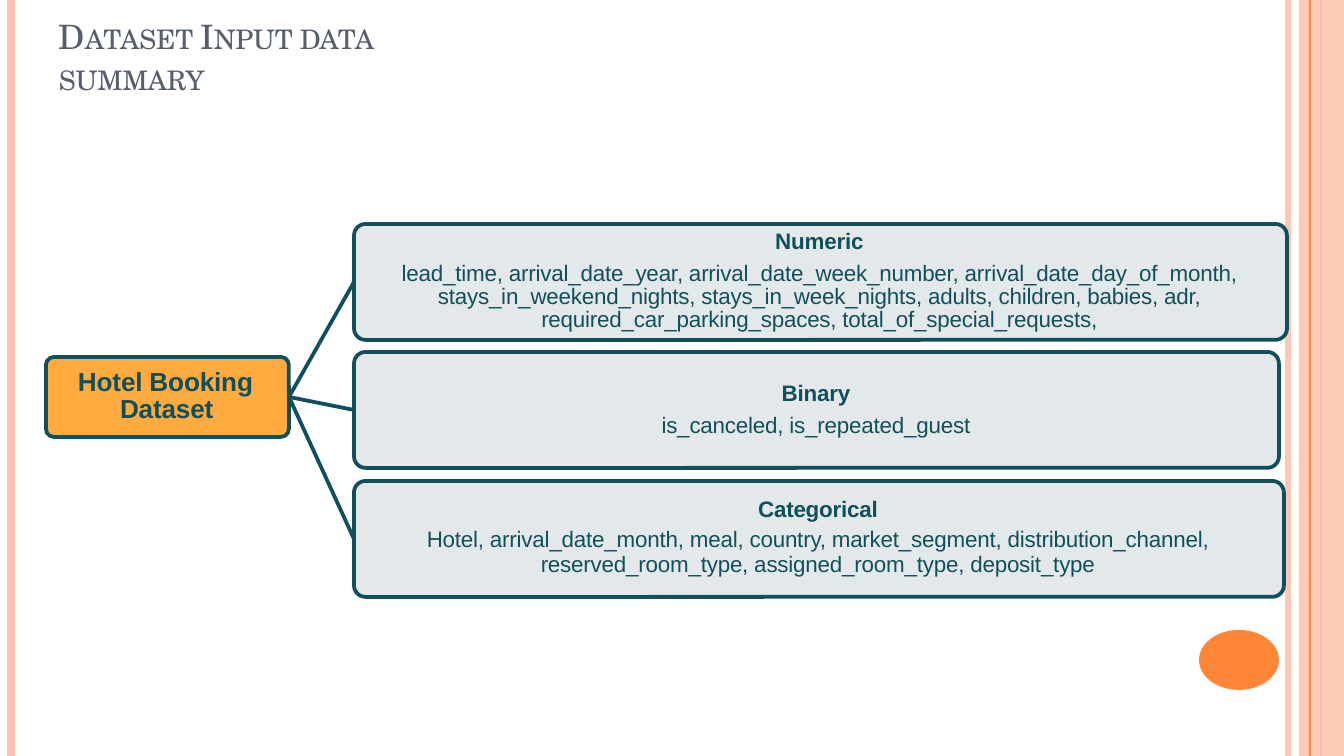
from dataclasses import dataclass

from lxml.etree import SubElement
from pptx import Presentation
from pptx.dml.color import RGBColor
from pptx.enum.shapes import MSO_CONNECTOR, MSO_SHAPE
from pptx.enum.text import MSO_ANCHOR, PP_ALIGN
from pptx.oxml.ns import qn
from pptx.util import Pt

SCALE = 914400 / 134.4
WIDE, HIGH = 1344, 756


@dataclass(frozen=True)
class Theme:
    ink: str = "124F5C"
    card: str = "E3E9EB"
    root: str = "FFAB40"
    title: str = "575F6D"
    pale: str = "FEC3AE"
    vivid: str = "FE8637"
    sans: str = "Arial"
    serif: str = "TeX Gyre Schola"
    big: int = 18
    mid: int = 14
    small: int = 12
    line: int = 2


@dataclass(frozen=True)
class Box:
    left: int
    top: int
    width: int
    height: int

    def emu(self) -> list[int]:
        return [px(n) for n in (self.left, self.top, self.width, self.height)]


@dataclass(frozen=True)
class Rule:
    x: int
    color: str
    weight: float
    alpha: int = 100


@dataclass(frozen=True)
class Card:
    box: Box
    area: Box
    head: str
    body: tuple[str, ...]
    gap: float
    lead: object = None


def px(n: float) -> int:
    return round(n * SCALE)


def fade(fill, alpha: int) -> None:
    if alpha < 100:
        tint = fill._xPr.find(qn("a:solidFill"))[0]
        SubElement(tint, qn("a:alpha"), val=str(alpha * 1000))


def shape(kind, box: Box, fill: str, line: str | None = None, alpha: int = 100):
    item = slide.shapes.add_shape(kind, *box.emu())
    item.shadow.inherit = False
    item.fill.solid()
    item.fill.fore_color.rgb = RGBColor.from_string(fill)
    fade(item.fill, alpha)
    if line:
        item.line.color.rgb = RGBColor.from_string(line)
        item.line.width = Pt(theme.line)
    else:
        item.line.fill.background()
    return item


def panel(box: Box, fill: str) -> None:
    item = shape(MSO_SHAPE.ROUNDED_RECTANGLE, box, fill, theme.ink)
    item.adjustments[0] = 0.1


def link(x1: int, y1: int, x2: int, y2: int, color: str, weight: float,
         alpha: int = 100) -> None:
    item = slide.shapes.add_connector(
        MSO_CONNECTOR.STRAIGHT, px(x1), px(y1), px(x2), px(y2))
    item.line.color.rgb = RGBColor.from_string(color)
    item.line.width = Pt(weight)
    fade(item.line.fill, alpha)
    SubElement(item._element.spPr, qn("a:effectLst"))


def frame(box: Box, inset: int = 7, anchor=MSO_ANCHOR.TOP):
    area = slide.shapes.add_textbox(*box.emu()).text_frame
    area.word_wrap = True
    area.vertical_anchor = anchor
    area.margin_left = area.margin_right = area.margin_bottom = 0
    area.margin_top = px(inset)
    return area


def write(area, text: str, *, size: int, color: str, font: str,
          bold: bool = False, align=PP_ALIGN.CENTER, gap: float = 0,
          lead=None, caps: bool = False, indent: tuple[int, int] = (0, 0)) -> None:
    para = area.paragraphs[0]
    if para.runs:
        para = area.add_paragraph()
    para.alignment = align
    para.space_before = Pt(gap)
    para.line_spacing = lead
    props = para._p.get_or_add_pPr()
    props.set("marL", str(px(indent[0])))
    props.set("indent", str(px(indent[1])))
    run = para.add_run()
    run.text = text
    run.font.size = Pt(size)
    run.font.name = font
    run.font.bold = bold
    run.font.color.rgb = RGBColor.from_string(color)
    mark = run._r.get_or_add_rPr()
    mark.set("spc", "-10")
    if caps:
        mark.set("cap", "small")


theme = Theme()
deck = Presentation()
deck.slide_width, deck.slide_height = px(WIDE), px(HIGH)
slide = deck.slides.add_slide(deck.slide_layouts[6])

# Side stripes, band and badge
rules = (Rule(1288, theme.pale, 3, 93), Rule(11, theme.pale, 4.5),
         Rule(1321, theme.vivid, 1.5), Rule(1310, theme.vivid, 0.75))
for rule in rules:
    if rule is rules[-1]:
        shape(MSO_SHAPE.RECTANGLE, Box(1299, 0, 45, HIGH), theme.pale, alpha=87)
    link(rule.x, 0, rule.x, HIGH, rule.color, rule.weight, rule.alpha)
shape(MSO_SHAPE.OVAL, Box(1199, 630, 80, 60), theme.vivid)

# Title
write(frame(Box(58, 52, 453, 45), 1, MSO_ANCHOR.BOTTOM),
      "Dataset Input data summary", size=theme.big, color=theme.title,
      font=theme.serif, align=PP_ALIGN.LEFT, caps=True, indent=(1, 0))

# Root of the tree
root = Box(46, 357, 243, 80)
panel(root, theme.root)
write(frame(Box(77, 363, 181, 62)), "Hotel Booking Dataset", size=theme.mid,
      color=theme.ink, font=theme.sans, bold=True, align=PP_ALIGN.LEFT,
      gap=3.4, lead=Pt(14.5), indent=(43, -42))

# Branches
cards = (
    Card(Box(354, 224, 933, 116), Box(391, 220, 857, 114), "Numeric",
         ("lead_time, arrival_date_year, arrival_date_week_number, "
          "arrival_date_day_of_month, stays_in_weekend_nights, "
          "stays_in_week_nights, adults, children, babies, adr, "
          "required_car_parking_spaces, total_of_special_requests,",),
         4.8, 0.86),
    Card(Box(354, 352, 925, 116), Box(656, 372, 320, 69), "Binary",
         ("is_canceled, is_repeated_guest",), 2.9),
    Card(Box(354, 481, 930, 116), Box(417, 488, 802, 91), "Categorical",
         ("Hotel, arrival_date_month, meal, country, market_segment, "
          "distribution_channel,",
          "reserved_room_type, assigned_room_type, deposit_type"),
         2.9, Pt(13.4)),
)
style = dict(size=theme.small, color=theme.ink, font=theme.sans)
for card in cards:
    box = card.box
    link(root.left + root.width, root.top + root.height // 2,
         box.left, box.top + box.height // 2, theme.ink, theme.line)
    panel(box, theme.card)
    area = frame(card.area)
    write(area, card.head, bold=True, gap=3.9, **style)
    for i, part in enumerate(card.body):
        write(area, part, gap=0 if i else card.gap, lead=card.lead, **style)

deck.save("out.pptx")
